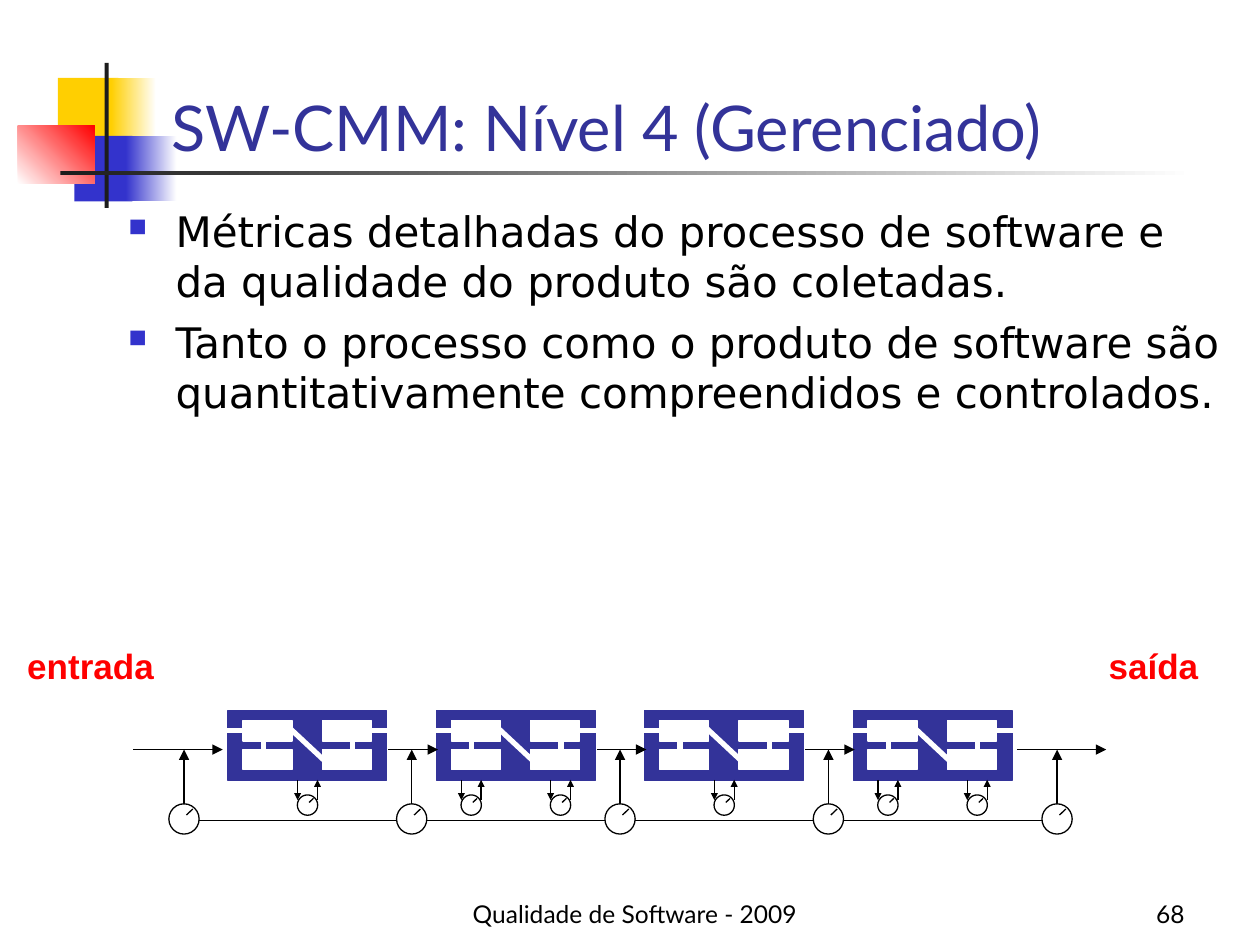
from lxml.etree import SubElement as Sub
from pptx import Presentation as Deck
from pptx.dml.color import RGBColor as Rgb
from pptx.enum.shapes import MSO_CONNECTOR as Conn, MSO_SHAPE as Kind
from pptx.enum.text import MSO_ANCHOR as Anchor, PP_ALIGN as Align
from pptx.oxml.ns import qn
from pptx.util import Cm, Pt

BLACK = Rgb(0x00, 0x00, 0x00)
WHITE = Rgb(0xFF, 0xFF, 0xFF)
INK = Rgb(0x1C, 0x1C, 0x1C)
GOLD = Rgb(0xFF, 0xCF, 0x01)
BLUE = Rgb(0x33, 0x33, 0xCC)
NAVY = Rgb(0x33, 0x33, 0x99)
RED = Rgb(0xFF, 0x00, 0x00)

FLOW = 15.11
BASE = 16.54
STEP = 4.2
FIRST = 4.6


class Page:
    def __init__(self, slide, font="Lato", thin=0.75):
        self.slide = slide
        self.font = font
        self.thin = thin

    def shape(self, x, y, w, h, fill, line=None, kind=Kind.RECTANGLE):
        item = self.slide.shapes.add_shape(kind, Cm(x), Cm(y), Cm(w), Cm(h))
        item.shadow.inherit = False
        item.fill.solid()
        item.fill.fore_color.rgb = fill
        if line is None:
            item.line.fill.background()
        else:
            item.line.color.rgb = line
            item.line.width = Pt(self.thin)
        return item

    def fade(self, x, y, w, h, start, end, angle=0):
        fill = self.shape(x, y, w, h, start).fill
        fill.gradient()
        fill.gradient_angle = angle
        for stop, color, place in zip(fill.gradient_stops, (start, end), (0, 1)):
            stop.color.rgb = color
            stop.position = place

    def line(self, x1, y1, x2, y2, color=BLACK, width=None, head=None):
        item = self.slide.shapes.add_connector(
            Conn.STRAIGHT, Cm(x1), Cm(y1), Cm(x2), Cm(y2))
        item.line.color.rgb = color
        item.line.width = Pt(width or self.thin)
        props = item._element.spPr
        if head:
            Sub(props.find(qn("a:ln")), qn("a:tailEnd"),
                type="triangle", w=head, len=head)
        Sub(props, qn("a:effectLst"))

    def text(self, text, x, y, w, h, size=14, color=BLACK, font=None, bold=False,
             align=Align.LEFT, anchor=Anchor.TOP, wrap=True, bullet=None, gap=0):
        frame = self.slide.shapes.add_textbox(Cm(x), Cm(y), Cm(w), Cm(h)).text_frame
        frame.word_wrap = wrap
        frame.vertical_anchor = anchor
        frame.text = text
        for num, para in enumerate(frame.paragraphs):
            para.alignment = align
            if num:
                para.space_before = Pt(gap)
            if bullet:
                self.mark(para, bullet)
            para.font.size = Pt(size)
            para.font.name = font or self.font
            para.font.bold = bold
            para.font.color.rgb = color

    def mark(self, para, color):
        props = para._p.get_or_add_pPr()
        props.set("marL", str(Cm(0.95)))
        props.set("indent", str(-Cm(0.95)))
        Sub(Sub(props, qn("a:buClr")), qn("a:srgbClr"), val=str(color))
        Sub(props, qn("a:buSzPct"), val="60000")
        Sub(props, qn("a:buChar"), char="■")

    def gauge(self, x, y, size):
        self.shape(x - size / 2, y - size / 2, size, size, WHITE, BLACK, Kind.OVAL)
        self.line(x + 0.08 * size, y - 0.13 * size, x + 0.29 * size, y - 0.33 * size)

    def probe(self, x):
        self.gauge(x, 16.23, 0.41)
        self.line(x - 0.2, 15.72, x - 0.2, 16.13, head="sm")
        self.line(x + 0.2, 16.13, x + 0.2, 15.72, head="sm")

    def block(self, x, probes):
        self.shape(x, 14.33, 3.2, 1.4, NAVY, NAVY)
        for left in (0.3, 1.9):
            for top in (14.53, FLOW):
                self.shape(x + left, top, 0.99, 0.41, WHITE, WHITE)
        for x1, y1, x2, y2 in (
            (-0.1, 14.73, 0.5, 14.73),
            (2.7, 14.73, 3.3, 14.73),
            (1.22, 14.66, 1.98, 15.37),
            (0.71, 15.32, 0.71, 14.73),
            (2.51, 15.32, 2.51, 14.73),
        ):
            self.line(x + x1, y1, x + x2, y2, WHITE, 3)
        for spot in probes:
            self.probe(x + spot)


def main():
    deck = Deck()
    deck.slide_width, deck.slide_height = Cm(25.4), Cm(19.05)
    page = Page(deck.slides.add_slide(deck.slide_layouts[6]))

    page.shape(1.17, 1.57, 1.22, 1.32, GOLD)
    page.fade(2.24, 1.57, 0.91, 1.32, GOLD, WHITE)
    page.shape(1.5, 2.74, 1.17, 1.32, BLUE)
    page.fade(2.54, 2.74, 1.02, 1.32, BLUE, WHITE)
    page.fade(0.36, 2.54, 1.55, 1.17, WHITE, RED, 45)
    page.shape(2.11, 1.27, 0.08, 2.92, INK)
    page.fade(1.22, 3.45, 22.86, 0.08, INK, WHITE)

    page.text("Qualidade de Software - 2009", 4.7, 17.58, 16.2, 1.27,
              align=Align.CENTER, anchor=Anchor.BOTTOM)
    page.text("68", 21.51, 17.58, 2.62, 1.27,
              align=Align.RIGHT, anchor=Anchor.BOTTOM)
    page.text("SW-CMM: Nível 4 (Gerenciado)", 3.2, 0.53, 21.64, 2.9,
              size=36, color=NAVY, anchor=Anchor.BOTTOM)
    page.text("Métricas detalhadas do processo de software e da qualidade "
              "do produto são coletadas.\n"
              "Tanto o processo como o produto de software são "
              "quantitativamente compreendidos e controlados.",
              2.34, 4.01, 22.56, 8.1, size=24, font="DejaVu Sans",
              bullet=BLUE, gap=6)
    for word, x, w in (("entrada", 0.3, 3.4), ("saída", 22.1, 2.6)):
        page.text(word, x, 12.86, w, 1.12, size=20, color=RED, font="Arial",
                  bold=True)

    for num, probes in enumerate(((1.6,), (0.7, 2.5)) * 2):
        page.block(FIRST + num * STEP, probes)

    for x in (2.69, 20.5):
        page.line(x, FLOW, x + 1.8, FLOW, head="med")
    for num in range(3):
        x = 7.83 + num * STEP
        page.line(x, FLOW, x + 1, FLOW, head="med")

    taps = (3.71, 8.3, 12.5, 16.7, 21.31)
    page.line(taps[0], BASE, taps[-1], BASE)
    for x in taps:
        page.line(x, BASE, x, FLOW, head="med")
        page.gauge(x, 16.51, 0.61)

    deck.save("out.pptx")


if __name__ == "__main__":
    main()
